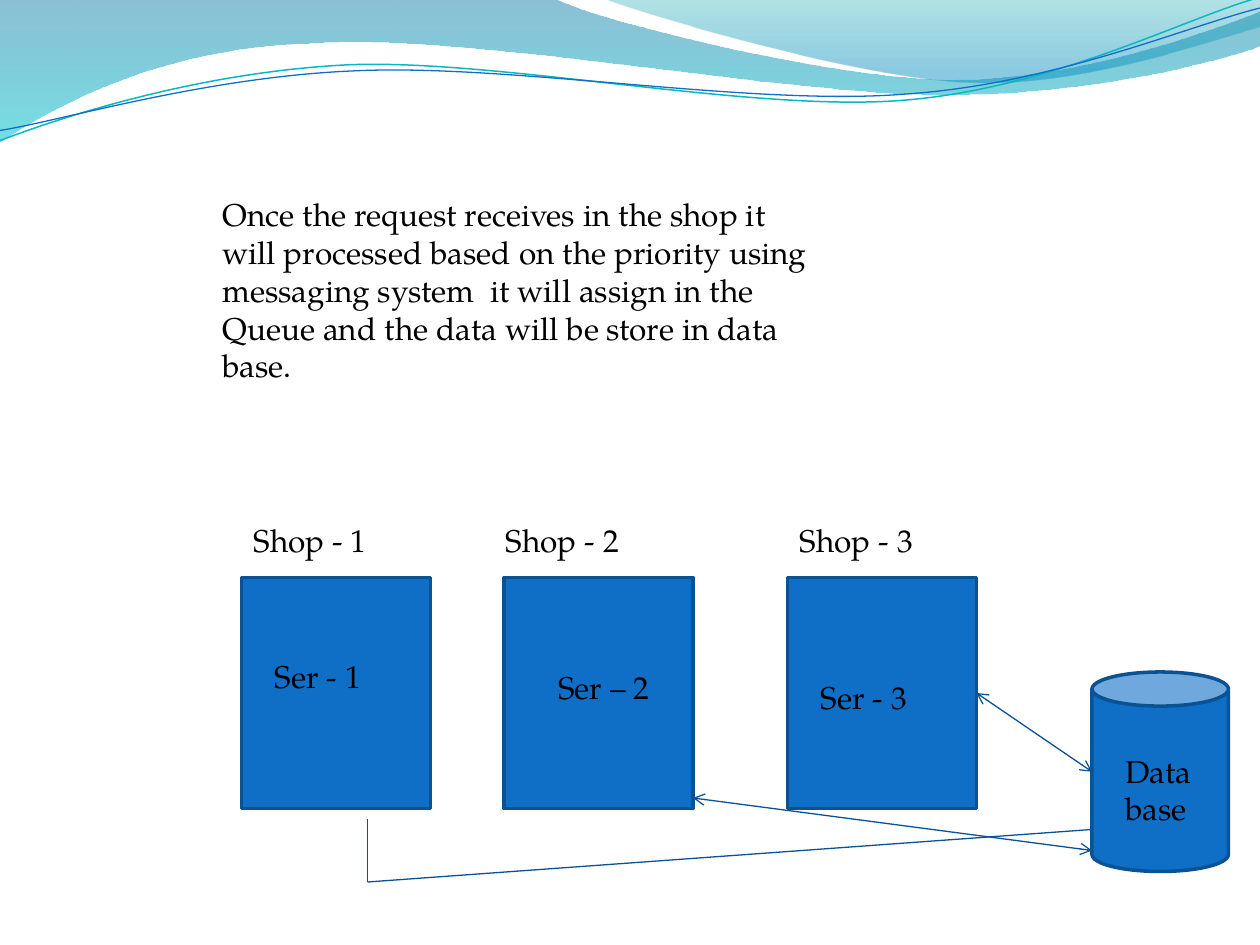
from lxml import etree
from pptx import Presentation
from pptx.dml.color import RGBColor
from pptx.enum.shapes import MSO_CONNECTOR, MSO_SHAPE
from pptx.oxml.ns import qn
from pptx.util import Inches, Pt

STRAIGHT = MSO_CONNECTOR.STRAIGHT
PROCESS, CAN = MSO_SHAPE.FLOWCHART_PROCESS, MSO_SHAPE.CAN
RIGHT_SITE = 3

BLACK = RGBColor(0x00, 0x00, 0x00)
BLUE = RGBColor(0x0F, 0x6F, 0xC6)
BORDER = RGBColor(0x0B, 0x52, 0x92)
ARROW = RGBColor(0x09, 0x52, 0x95)
TEAL = RGBColor(0x0A, 0xB8, 0xBF)
DEEP_BLUE = RGBColor(0x00, 0x74, 0xA1)
AQUA = RGBColor(0x00, 0xC6, 0xCF)
DEEP_TEAL = RGBColor(0x00, 0xA1, 0xA9)
SKY = RGBColor(0x00, 0x8B, 0xBF)

FONT = "TeX Gyre Pagella"
COLUMNS, ROWS = 120, 90
CELL = Inches(10) // COLUMNS
STRAND_TILT = 357.3

# Each outline is a start point followed by line ends (2 numbers) or cubic curves (6 numbers).
LEFT_WAVE = [(0, 0), (4.4, -0.01), (4.76, 0.17, 6.64, 0.63, 7.58, 0.63),
             (8.53, 0.63, 9.58, 0.26, 10, 0.09), (10.01, 0.36),
             (9.83, 0.44, 8.7, 0.76, 7.46, 0.75), (6.22, 0.75, 3.82, 0.28, 2.57, 0.34),
             (1.29, 0.36, 0.46, 0.83, -0.01, 1.13), (0, 0)]
RIGHT_WAVE = [(4.79, -0.01), (5.09, 0.11, 6.82, 0.62, 7.69, 0.65),
              (8.56, 0.69, 9.61, 0.32, 10, 0.21), (10, 0), (4.79, -0.01)]
TEAL_STRAND = [(-0.02, 0.88), (0.47, 0.72, 1.58, 0.41, 2.78, 0.41),
               (3.96, 0.42, 5.91, 0.93, 7.12, 0.9), (8.32, 0.87, 9.4, 0.36, 10, 0.22)]
BLUE_STRAND = [(-0.02, 0.8), (0.46, 0.75, 1.64, 0.45, 2.83, 0.46),
               (4.04, 0.46, 5.96, 0.89, 7.16, 0.85), (8.35, 0.83, 9.42, 0.42, 10.02, 0.3)]


def grid(*cells):
    return [round(cell * CELL) for cell in cells]


def add_outline(page, segments, close):
    """Build a freeform through all points, then merge each curve's three lines into one."""
    points = [(Inches(segment[i]), Inches(segment[i + 1]))
              for segment in segments for i in range(0, len(segment), 2)]
    builder = page.shapes.build_freeform(*points[0], scale=1.0)
    builder.add_line_segments(points[1:], close=close)
    outline = builder.convert_to_shape()
    outline.shadow.inherit = False
    lines = iter(list(outline._element.iter(qn("a:lnTo"))))
    for segment in segments[1:]:
        first = next(lines)
        if len(segment) == 6:
            first.tag = qn("a:cubicBezTo")
            for extra in (next(lines), next(lines)):
                first.append(extra[0])
                extra.getparent().remove(extra)
    return outline


def add_wave(page, segments, stops):
    """Draw a closed wave; stops are (position, colour, opacity percent), top to bottom."""
    wave = add_outline(page, segments, True)
    wave.line.fill.background()
    wave.fill.gradient()
    wave.fill.gradient_angle = 270
    for stop, (position, color, _) in zip(wave.fill.gradient_stops, stops):
        stop.position = position
        stop.color.rgb = color
    for node, (_, _, opacity) in zip(wave._element.spPr.iter(qn("a:srgbClr")), stops):
        etree.SubElement(node, qn("a:alpha"), val=str(opacity * 1000))


def add_strand(page, segments, color, width):
    strand = add_outline(page, segments, False)
    strand.rotation = STRAND_TILT
    strand.fill.background()
    strand.line.color.rgb = color
    strand.line.width = Pt(width)


def add_header(page):
    add_wave(page, LEFT_WAVE, [(0, DEEP_BLUE, 45), (1, AQUA, 55)])
    add_wave(page, RIGHT_WAVE, [(0, DEEP_TEAL, 30), (0.8, SKY, 45)])
    add_strand(page, TEAL_STRAND, TEAL, 0.85)
    add_strand(page, BLUE_STRAND, BLUE, 0.75)


def add_text(page, text, box, size=18, color=BLACK):
    frame = page.shapes.add_textbox(*grid(*box)).text_frame
    frame.word_wrap = True
    span = frame.paragraphs[0].add_run()
    span.text = text
    span.font.name = FONT
    span.font.size = Pt(size)
    span.font.color.rgb = color


def add_block(page, kind, box):
    block = page.shapes.add_shape(kind, *grid(*box))
    block.shadow.inherit = False
    block.fill.solid()
    block.fill.fore_color.rgb = BLUE
    block.line.color.rgb = BORDER
    block.line.width = Pt(2)
    return block


def add_shop(page, box, name, name_shift, name_width, server, server_shift, server_width):
    """Draw a shop block with its name above and its server inside."""
    left, top, _, _ = box
    block = add_block(page, PROCESS, box)
    add_text(page, name, (left + name_shift, top - 6, name_width, 4.85))
    add_text(page, server, (left + server_shift[0], top + server_shift[1], server_width, 4.85))
    return block


def add_database(page, box):
    left, top, width, _ = box
    add_block(page, CAN, box)
    add_text(page, "Data base", (left + 2, top + 7, width - 4, 8.5))


def add_link(page, start, end, arrows=False):
    link = page.shapes.add_connector(STRAIGHT, *grid(*start, *end))
    link.line.color.rgb = ARROW
    link.line.width = Pt(0.75)
    if arrows:
        line = link.line._get_or_add_ln()
        for tag in ("a:headEnd", "a:tailEnd"):
            etree.SubElement(line, qn(tag), type="arrow")
    etree.SubElement(link._element.spPr, qn("a:effectLst"))
    return link


def add_diagram(page, box):
    """Draw three shops and the database they share."""
    left, top, width, height = box
    shop_size = (18, 22)
    add_shop(page, (left, top, *shop_size), "Shop - 1", 0, 18, "Ser - 1", (2, 7), 14)
    add_shop(page, (left + 25, top, *shop_size), "Shop - 2", -1, 21, "Ser – 2", (4, 8), 13)
    third = add_shop(page, (left + 52, top, *shop_size),
                     "Shop - 3", 0, 20, "Ser - 3", (2, 9), 14)

    store_left, bottom = left + width - 13, top + height
    add_database(page, (store_left, bottom - 19, 13, 19))

    link = add_link(page, (left + 70, top + 11), (store_left, bottom - 9.5), arrows=True)
    link.begin_connect(third, RIGHT_SITE)
    add_link(page, (left + 43, top + 21), (store_left, bottom - 2), arrows=True)
    corner = (left + 12, bottom + 1)
    add_link(page, (left + 12, top + 23), corner)
    add_link(page, corner, (store_left, bottom - 4))


def main():
    deck = Presentation()
    deck.slide_width, deck.slide_height = grid(COLUMNS, ROWS)
    page = deck.slides.add_slide(deck.slide_layouts[6])
    add_header(page)
    add_text(page, "Once the request receives in the shop it will processed based on the "
                   "priority using messaging system  it will assign in the Queue and the "
                   "data will be store in data base.", (20, 18, 59, 19.5))
    add_diagram(page, (23, 55, 94, 28))
    deck.save("out.pptx")


if __name__ == "__main__":
    main()
